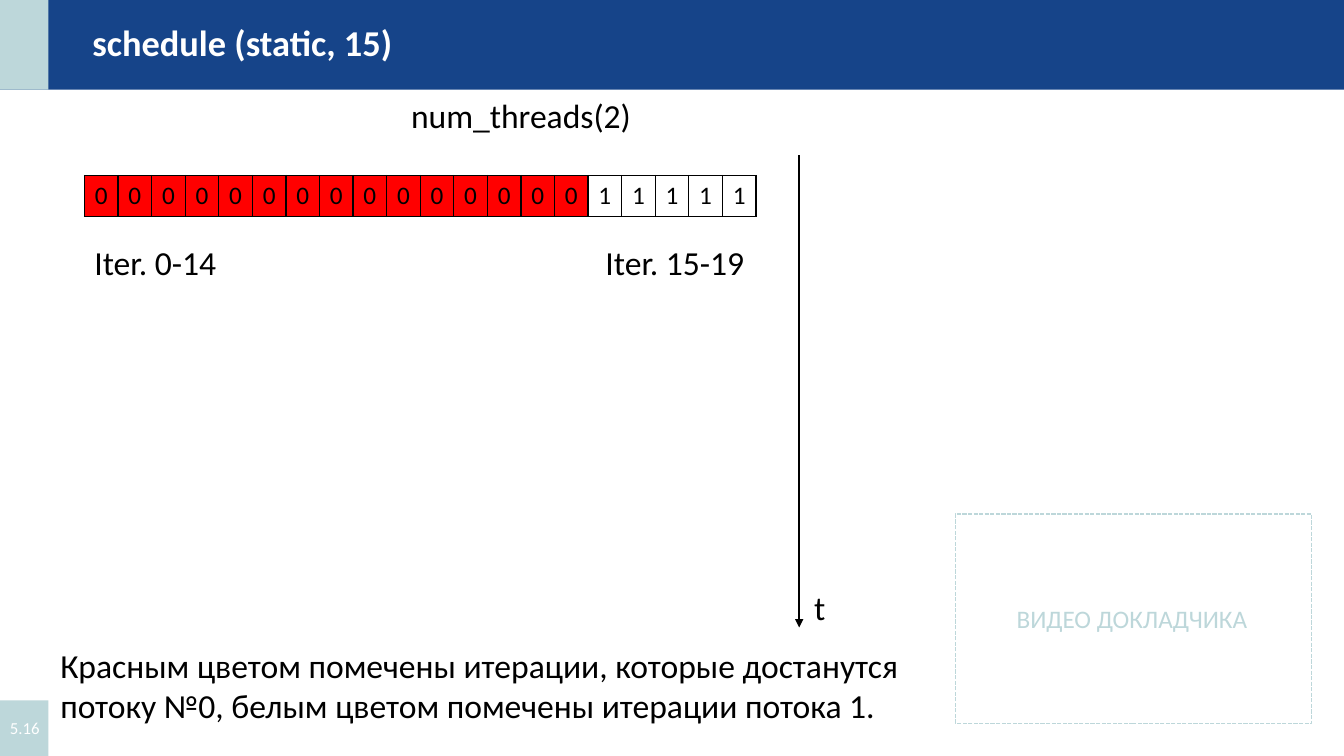
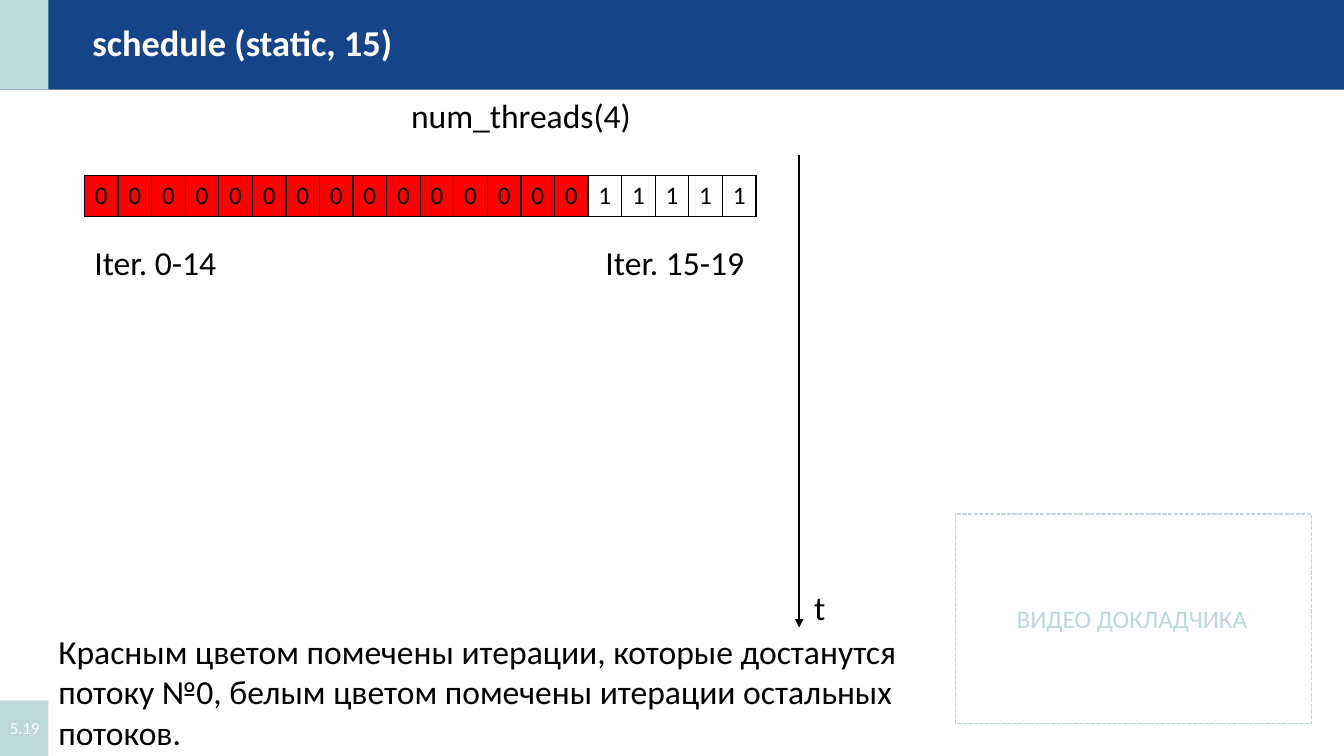
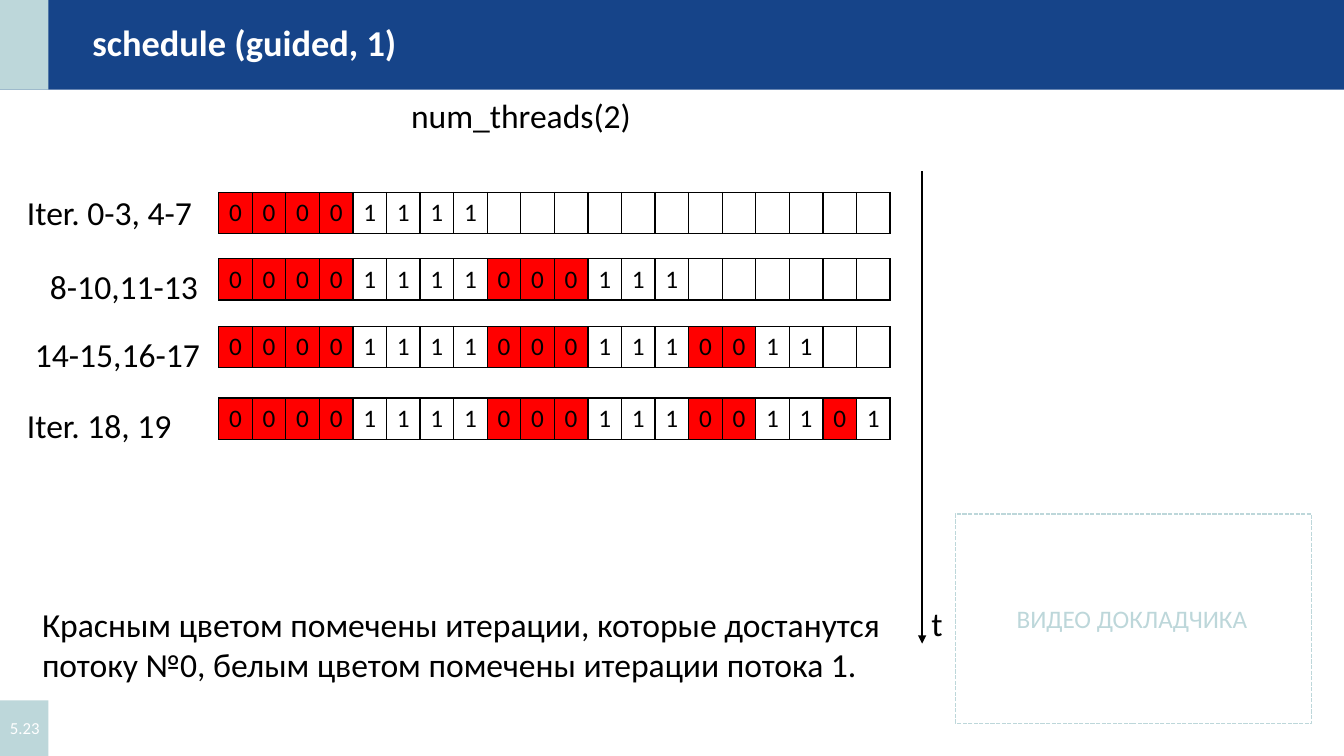
from lxml import etree
from pptx import Presentation
from pptx.dml.color import RGBColor
from pptx.enum.dml import MSO_LINE_DASH_STYLE as DASH
from pptx.enum.shapes import MSO_CONNECTOR as CONNECTOR, MSO_SHAPE as SHAPE
from pptx.enum.text import MSO_ANCHOR as ANCHOR, PP_ALIGN as ALIGN
from pptx.oxml.ns import qn
from pptx.util import Cm, Pt

# Shared look
BLUE, TEAL, RED, BLACK, WHITE = "164489", "BDD7DA", "FF0000", "000000", "FFFFFF"
BODY = {"name": "Calibri", "size": Pt(24)}
TITLE = {**BODY, "size": Pt(26), "bold": True}
SMALL = {**BODY, "size": Pt(18)}
NUMBER = {**BODY, "size": Pt(12)}

SLIDE_WIDTH, SLIDE_HEIGHT = 33.87, 19.05
BAND_HEIGHT, STRIP_WIDTH = 2.26, 1.22
TABLE_WIDTH, ROW_HEIGHT, LABEL_HEIGHT = 16.93, 1.04, 1.27
ARROW_LENGTH = 11.9

# Iteration owners
STATIC = "0" * 15 + "1" * 5
GUIDED = "00001111000111001101"
NOTE = ("Красным цветом помечены итерации, которые достанутся "
        "потоку №0, белым цветом помечены итерации ")


def color(value):
    return RGBColor.from_string(value)


def style_span(span, look, ink):
    for name, value in look.items():
        setattr(span.font, name, value)
    span.font.color.rgb = color(ink)


def add_text(page, text, place, look=BODY, ink=BLACK, wrap=False,
             anchor=ANCHOR.TOP, spacing=None):
    box = page.shapes.add_textbox(*map(Cm, place))
    frame = box.text_frame
    frame.word_wrap = wrap
    frame.vertical_anchor = anchor
    para = frame.paragraphs[0]
    para.line_spacing = spacing
    span = para.add_run()
    span.text = text
    style_span(span, look, ink)


def add_box(page, place, fill=None):
    box = page.shapes.add_shape(SHAPE.RECTANGLE, *map(Cm, place))
    box.shadow.inherit = False
    if fill:
        box.fill.solid()
        box.fill.fore_color.rgb = color(fill)
        box.line.fill.background()
    else:
        box.fill.background()
    return box


def add_frame(page, place, ink):
    box = add_box(page, place)
    box.line.color.rgb = color(ink)
    box.line.width = Pt(1)
    box.line.dash_style = DASH.SQUARE_DOT


def add_borders(cell):
    props = cell._tc.get_or_add_tcPr()
    for index, side in enumerate(("lnL", "lnR", "lnT", "lnB")):
        line = etree.Element(qn(f"a:{side}"), w=str(Pt(1)))
        fill = etree.SubElement(line, qn("a:solidFill"))
        etree.SubElement(fill, qn("a:srgbClr"), val=BLACK)
        props.insert(index, line)


def add_iterations(page, owners, left, top, total=20):
    """Draw one row of cells; cells of thread 0 are red."""
    table = page.shapes.add_table(
        1, total, Cm(left), Cm(top), Cm(TABLE_WIDTH), Cm(ROW_HEIGHT)).table
    table.first_row = table.horz_banding = False
    for index, column in enumerate(table.columns):
        column.width = Cm(TABLE_WIDTH) // total
        cell = table.cell(0, index)
        cell.margin_left = cell.margin_right = 0
        cell.vertical_anchor = ANCHOR.MIDDLE
        owner = owners[index:index + 1]
        if owner == "0":
            cell.fill.solid()
            cell.fill.fore_color.rgb = color(RED)
        else:
            cell.fill.background()
        add_borders(cell)
        if owner:
            para = cell.text_frame.paragraphs[0]
            para.alignment = ALIGN.CENTER
            span = para.add_run()
            span.text = owner
            style_span(span, SMALL, BLACK)


def add_time_axis(page, left, top, label_left):
    bottom = top + ARROW_LENGTH
    arrow = page.shapes.add_connector(
        CONNECTOR.STRAIGHT, Cm(left), Cm(top), Cm(left), Cm(bottom))
    arrow.line.color.rgb = color(BLACK)
    arrow.line.width = Pt(1.5)
    etree.SubElement(arrow.line._get_or_add_ln(), qn("a:tailEnd"), type="triangle")
    etree.SubElement(arrow._element.spPr, qn("a:effectLst"))
    add_text(page, "t", (label_left, bottom - 1.14, 0.79, LABEL_HEIGHT))


def add_page(deck, title, number, threads):
    """Start a slide with the bands, speaker frame, title and number."""
    page = deck.slides.add_slide(deck.slide_layouts[6])
    add_box(page, (0, 0, SLIDE_WIDTH, BAND_HEIGHT), BLUE)
    add_box(page, (0, 0, STRIP_WIDTH, BAND_HEIGHT), TEAL)
    add_frame(page, (24.08, 12.95, 8.97, 5.28), TEAL)
    add_text(page, "ВИДЕО ДОКЛАДЧИКА", (25.37, 15.09, 6.38, 1.02), SMALL, TEAL)
    add_box(page, (0, 17.65, STRIP_WIDTH, 1.4), TEAL)
    add_text(page, title, (2.08, 0.61, 24.61, 1.02), TITLE, WHITE,
             wrap=True, anchor=ANCHOR.MIDDLE, spacing=0.9)
    add_text(page, number, (0, 17.83, 1.42, 1.02), NUMBER, WHITE,
             wrap=True, anchor=ANCHOR.MIDDLE)
    add_text(page, f"num_threads({threads})", (10.11, 2.26, 6.12, LABEL_HEIGHT))
    return page


def add_note(page, ending, left, top, height):
    add_text(page, NOTE + ending, (left, top, 22.81, height), wrap=True)


def add_static_page(deck, number, threads, note):
    page = add_page(deck, "schedule (static, 15)", number, threads)
    add_note(page, *note)
    add_iterations(page, STATIC, 2.13, 4.42)
    add_text(page, "Iter. 0-14", (2.13, 5.97, 3.81, LABEL_HEIGHT))
    add_text(page, "Iter. 15-19", (15.01, 5.97, 4.34, LABEL_HEIGHT))
    add_time_axis(page, 20.14, 3.91, 20.27)


def add_guided_page(deck, number, threads, note):
    page = add_page(deck, "schedule (guided, 1)", number, threads)
    add_note(page, *note)
    # Label, its left and top, table top, iterations handed out so far
    steps = (
        ("Iter. 0-3, 4-7", 0.43, 4.72, 4.85, 8),
        ("8-10,11-13", 1.01, 6.58, 6.52, 14),
        ("14-15,16-17", 0.63, 8.28, 8.23, 18),
        ("Iter. 18, 19", 0.43, 10.08, 10.03, 20),
    )
    for label, left, label_top, top, done in steps:
        add_iterations(page, GUIDED[:done], 5.51, top)
        add_text(page, label, (left, label_top, 4.93, LABEL_HEIGHT))
    add_time_axis(page, 23.24, 4.32, 23.22)


def main():
    deck = Presentation()
    deck.slide_width, deck.slide_height = Cm(SLIDE_WIDTH), Cm(SLIDE_HEIGHT)
    add_static_page(deck, "5.16", 2, ("потока 1.", 1.27, 16.13, 2.31))
    add_static_page(deck, "5.19", 4, ("остальных потоков.", 1.22, 15.77, 3.33))
    add_guided_page(deck, "5.23", 2, ("потока 1.", 0.81, 15.09, 2.31))
    deck.save("out.pptx")


if __name__ == "__main__":
    main()
